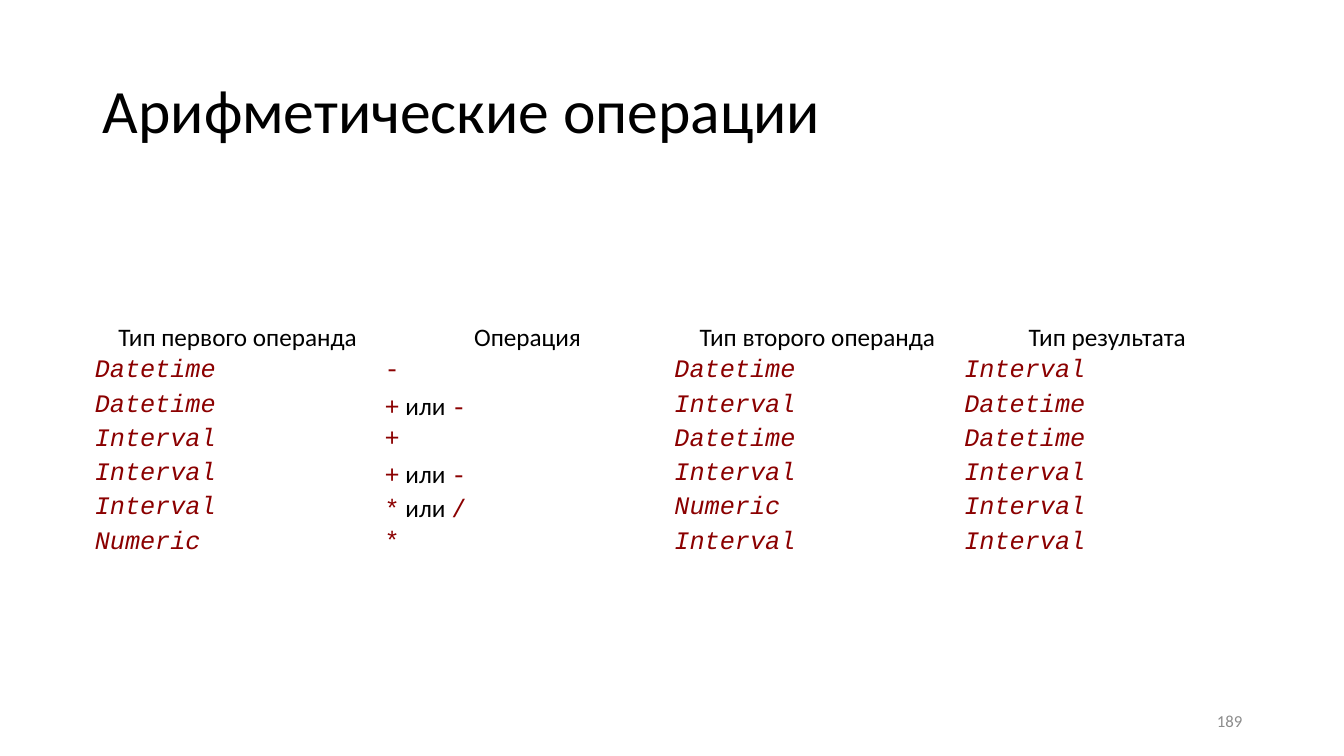
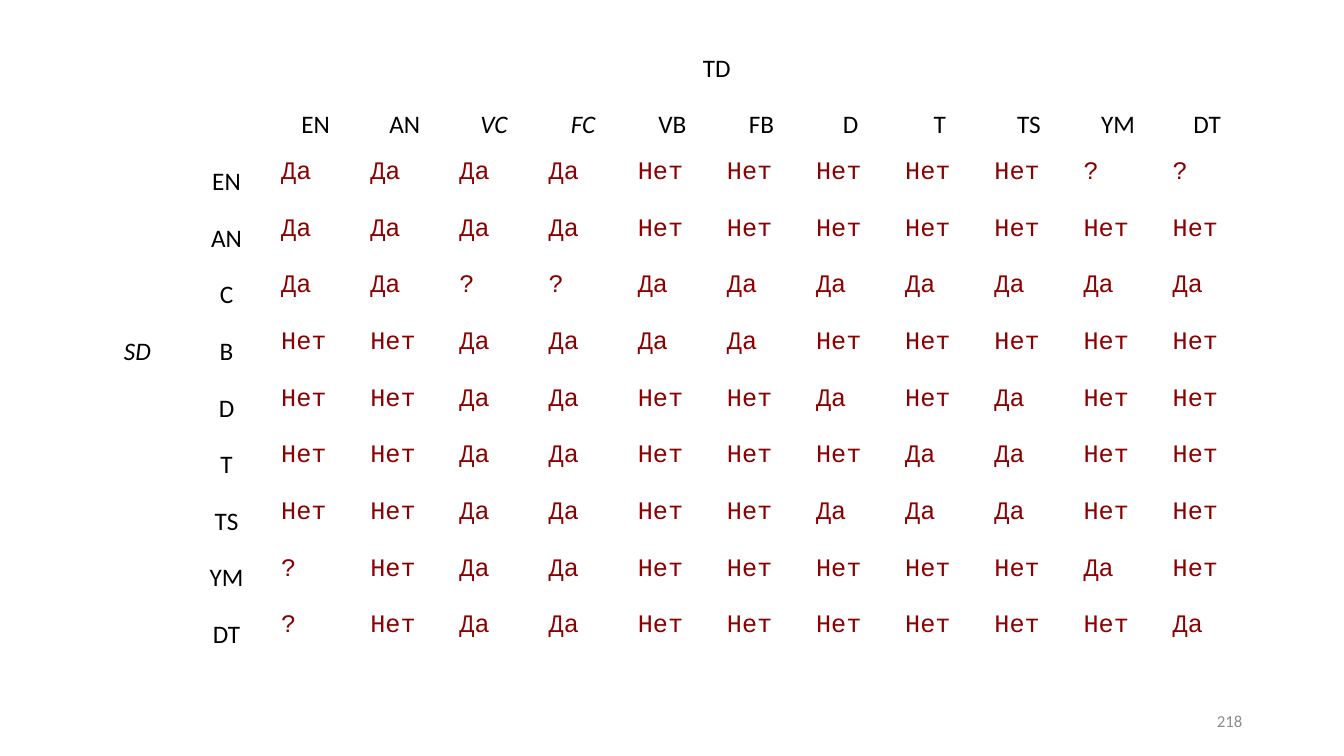
from pptx import Presentation
from pptx.dml.color import RGBColor
from pptx.enum.text import MSO_ANCHOR, MSO_AUTO_SIZE, PP_ALIGN
from pptx.util import Inches, Pt

BLACK = RGBColor(0x00, 0x00, 0x00)
WHITE = RGBColor(0xFF, 0xFF, 0xFF)
DARK_RED = RGBColor(0x8B, 0x00, 0x00)
GRAY = RGBColor(0x8C, 0x8C, 0x8C)
BODY_FONT = "Calibri"
CODE_FONT = "Courier New"
MIDDLE = MSO_ANCHOR.MIDDLE
NO_AUTOFIT = MSO_AUTO_SIZE.NONE
LEFT, CENTER, RIGHT = PP_ALIGN.LEFT, PP_ALIGN.CENTER, PP_ALIGN.RIGHT
TITLE_ONLY, BLANK = 5, 6
MARGIN = Inches(0.92)
CONTENT_WIDTH = Inches(11.5)
OR_WORD = " или "

OPERATIONS = [
    ("Datetime", "-", "Datetime", "Interval"),
    ("Datetime", "+ или -", "Interval", "Datetime"),
    ("Interval", "+", "Datetime", "Datetime"),
    ("Interval", "+ или -", "Interval", "Interval"),
    ("Interval", "* или /", "Numeric", "Interval"),
    ("Numeric", "*", "Interval", "Interval"),
]
OPERATION_HEADERS = (
    "Тип первого операнда", "Операция", "Тип второго операнда", "Тип результата",
)
TARGET_TYPES = "EN AN VC FC VB FB D T TS YM DT".split()
ITALIC_TYPES = ("VC", "FC")
CONVERSIONS = {
    "EN": "Да Да Да Да Нет Нет Нет Нет Нет ? ?",
    "AN": "Да Да Да Да Нет Нет Нет Нет Нет Нет Нет",
    "C": "Да Да ? ? Да Да Да Да Да Да Да",
    "B": "Нет Нет Да Да Да Да Нет Нет Нет Нет Нет",
    "D": "Нет Нет Да Да Нет Нет Да Нет Да Нет Нет",
    "T": "Нет Нет Да Да Нет Нет Нет Да Да Нет Нет",
    "TS": "Нет Нет Да Да Нет Нет Да Да Да Нет Нет",
    "YM": "? Нет Да Да Нет Нет Нет Нет Нет Да Нет",
    "DT": "? Нет Да Да Нет Нет Нет Нет Нет Нет Да",
}


class Deck:
    def __init__(self):
        self.presentation = Presentation()
        self.presentation.slide_width = Inches(13.33)
        self.presentation.slide_height = Inches(7.5)
        self.slide = None

    def new_slide(self, layout, number):
        layouts = self.presentation.slide_layouts
        self.slide = self.presentation.slides.add_slide(layouts[layout])
        self.page_number(number)

    def style(self, run, size=18, font=BODY_FONT, color=BLACK, italic=False):
        run.font.size = Pt(size)
        run.font.name = font
        run.font.color.rgb = color
        run.font.bold = False
        run.font.italic = italic

    def title(self, text):
        title = self.slide.shapes.title
        title.left, title.top = MARGIN, Inches(0.4)
        title.width, title.height = CONTENT_WIDTH, Inches(1.45)
        frame = title.text_frame
        frame.text = text
        frame.auto_size = NO_AUTOFIT
        frame.vertical_anchor = MIDDLE
        paragraph = frame.paragraphs[0]
        paragraph.alignment = LEFT
        paragraph.line_spacing = 0.9
        self.style(paragraph.runs[0], size=44)

    def page_number(self, number):
        box = self.slide.shapes.add_textbox(
            Inches(9.42), Inches(6.95), Inches(3), Inches(0.4))
        frame = box.text_frame
        frame.word_wrap = True
        frame.vertical_anchor = MIDDLE
        frame.text = str(number)
        paragraph = frame.paragraphs[0]
        paragraph.alignment = RIGHT
        self.style(paragraph.runs[0], size=12, color=GRAY)

    def table(self, rows, columns, top, height, inset=None):
        table = self.slide.shapes.add_table(
            rows, columns, MARGIN, top, CONTENT_WIDTH, height).table
        table.first_row = False
        table.horz_banding = False
        for cell in table.iter_cells():
            cell.fill.solid()
            cell.fill.fore_color.rgb = WHITE
            if inset is not None:
                cell.margin_left = cell.margin_right = inset
                cell.margin_top = cell.margin_bottom = inset
        return table

    def heading_cell(self, cell, text, italic=False):
        cell.vertical_anchor = MIDDLE
        cell.text_frame.text = text
        paragraph = cell.text_frame.paragraphs[0]
        paragraph.alignment = CENTER
        self.style(paragraph.runs[0], italic=italic)

    def code_cell(self, cell, text, italic=False):
        paragraph = cell.text_frame.paragraphs[0]
        for part in filter(None, text.partition(OR_WORD)):
            run = paragraph.add_run()
            run.text = part
            if part == OR_WORD:
                self.style(run)
            else:
                self.style(run, font=CODE_FONT, color=DARK_RED, italic=italic)


def arithmetic_slide(deck):
    deck.new_slide(TITLE_ONLY, 189)
    deck.title("Арифметические операции")
    row_count = len(OPERATIONS) + 1
    table = deck.table(row_count, len(OPERATION_HEADERS), Inches(3.18),
                       Inches(0.3) * row_count, inset=Inches(0.02))
    for column, header in enumerate(OPERATION_HEADERS):
        deck.heading_cell(table.cell(0, column), header)
    for row, operation in enumerate(OPERATIONS, start=1):
        for column, text in enumerate(operation):
            deck.code_cell(table.cell(row, column), text, italic=column != 1)


def conversion_slide(deck):
    deck.new_slide(BLANK, 218)
    row_count, column_count = len(CONVERSIONS) + 2, len(TARGET_TYPES) + 2
    table = deck.table(row_count, column_count, Inches(0.4), Inches(6.18))
    table.cell(0, 0).merge(table.cell(row_count - 1, 0))
    table.cell(0, 1).merge(table.cell(0, column_count - 1))
    deck.heading_cell(table.cell(0, 0), "SD", italic=True)
    deck.heading_cell(table.cell(0, 1), "TD")
    for column, target in enumerate(TARGET_TYPES, start=2):
        deck.heading_cell(table.cell(1, column), target, italic=target in ITALIC_TYPES)
    for row, (source, answers) in enumerate(CONVERSIONS.items(), start=2):
        deck.heading_cell(table.cell(row, 1), source)
        for column, answer in enumerate(answers.split(), start=2):
            deck.code_cell(table.cell(row, column), answer)


def main():
    deck = Deck()
    arithmetic_slide(deck)
    conversion_slide(deck)
    deck.presentation.save("out.pptx")


if __name__ == "__main__":
    main()
